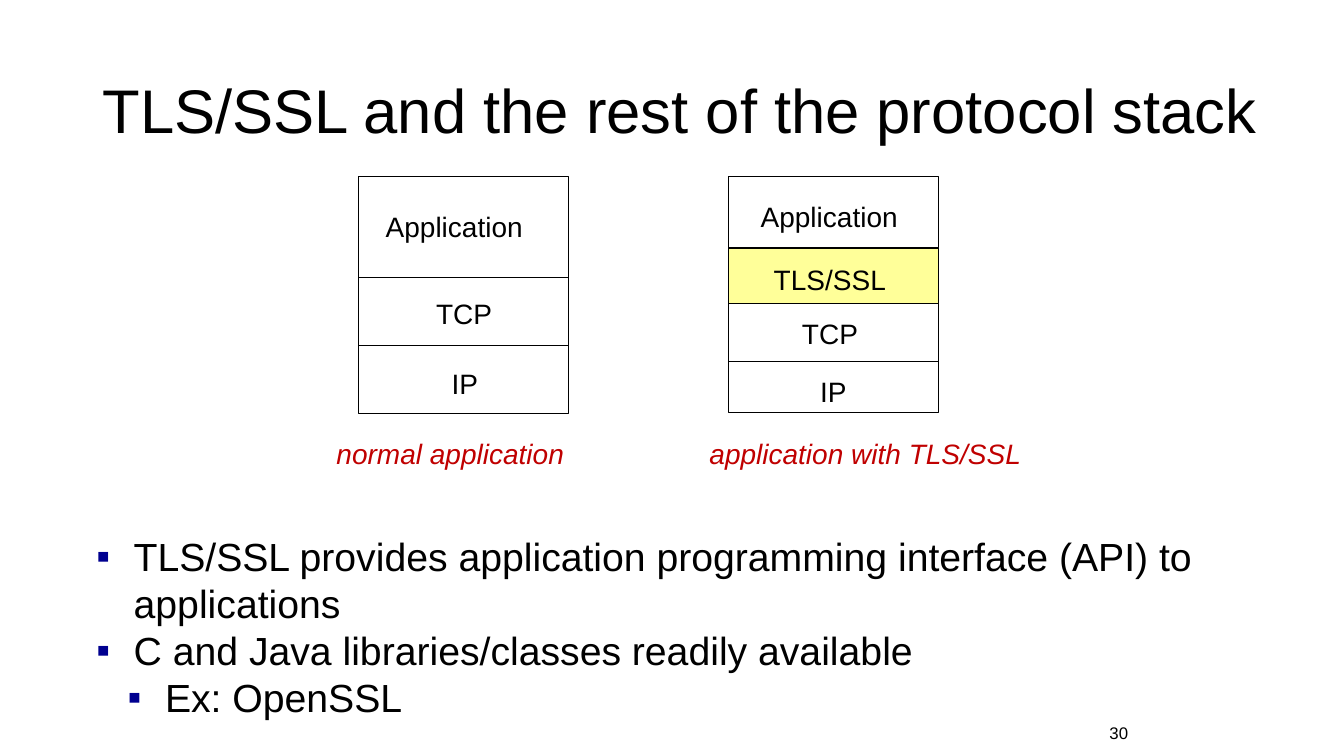
"""Build the slide on TLS/SSL and the protocol stack."""
from dataclasses import dataclass

from lxml.etree import SubElement as Sub
from pptx import Presentation
from pptx.dml.color import RGBColor as Rgb
from pptx.enum.shapes import MSO_SHAPE as Kind
from pptx.enum.text import MSO_ANCHOR as Anchor
from pptx.oxml.ns import qn
from pptx.util import Cm, Pt

BLACK, RED, NAVY, YELLOW = "000000", "C00000", "000090", "FFFF99"


@dataclass
class Text:
    words: str
    left: float
    top: float
    width: float
    height: float = 1.12
    size: int = 20
    color: str = BLACK
    slant: bool = False
    wrap: bool = False


@dataclass
class Layer:
    height: float
    label: Text
    fill: str = ""


@dataclass
class Stack:
    left: float
    width: float
    layers: list[Layer]
    title: Text


@dataclass
class Point:
    words: str
    level: int = 0


def tint(code: str) -> Rgb:
    return Rgb.from_string(code)


def add_run(para, words: str, size: int, color: str = BLACK, slant: bool = False) -> None:
    run = para.add_run()
    run.text = words
    font = run.font
    font.name, font.size, font.italic = "Arial", Pt(size), slant
    font.color.rgb = tint(color)


def add_box(slide, left: float, top: float, width: float, height: float, wrap: bool = True):
    box = slide.shapes.add_textbox(Cm(left), Cm(top), Cm(width), Cm(height))
    box.text_frame.word_wrap = wrap
    return box.text_frame


def add_text(slide, text: Text):
    frame = add_box(slide, text.left, text.top, text.width, text.height, text.wrap)
    add_run(frame.paragraphs[0], text.words, text.size, text.color, text.slant)
    return frame


def add_stack(slide, stack: Stack, top: float) -> None:
    for layer in stack.layers:
        rect = slide.shapes.add_shape(
            Kind.RECTANGLE, Cm(stack.left), Cm(top), Cm(stack.width), Cm(layer.height))
        rect.shadow.inherit = False
        rect.line.color.rgb = tint(BLACK)
        rect.line.width = Pt(0.75)
        if layer.fill:
            rect.fill.solid()
            rect.fill.fore_color.rgb = tint(layer.fill)
        else:
            rect.fill.background()
        add_text(slide, layer.label)
        top += layer.height
    add_text(slide, stack.title)


def add_points(slide, points: list[Point]) -> None:
    frame = add_box(slide, 2.18, 13.28, 29.49, 5.05)
    for spot, point in enumerate(points):
        para = frame.add_paragraph() if spot else frame.paragraphs[0]
        para.level = point.level
        props = para._p.get_or_add_pPr()
        props.set("marL", str(Cm(0.94 + 0.79 * point.level)))
        props.set("indent", str(Cm(-0.94)))
        Sub(Sub(props, qn("a:buClr")), qn("a:srgbClr"), val=NAVY)
        Sub(props, qn("a:buFont"), typeface="Arial")
        Sub(props, qn("a:buChar"), char="▪")
        add_run(para, point.words, 28)


STACKS = [
    Stack(9.04, 5.3, [
        Layer(2.54, Text("Application", 9.47, 5.16, 4.01)),
        Layer(1.71, Text("TCP", 10.74, 7.34, 1.94)),
        Layer(1.71, Text("IP", 11.13, 9.12, 1.19)),
    ], Text("normal application", 8.23, 10.87, 6.45, color=RED, slant=True)),
    Stack(18.36, 5.3, [
        Layer(1.8, Text("Application", 18.92, 4.9, 4.01)),
        Layer(1.4, Text("TLS/SSL", 19.25, 6.48, 3.38), YELLOW),
        Layer(1.47, Text("TCP", 19.96, 7.85, 1.94)),
        Layer(1.27, Text("IP", 20.42, 9.3, 1.19)),
    ], Text("application with TLS/SSL", 17.63, 10.87, 8.66, color=RED, slant=True, wrap=True)),
]

POINTS = [
    Point("TLS/SSL provides application programming interface (API) to applications"),
    Point("C and Java libraries/classes readily available"),
    Point("Ex: OpenSSL", 1),
]


def main() -> None:
    deck = Presentation()
    deck.slide_width, deck.slide_height = Cm(33.87), Cm(19.05)
    slide = deck.slides.add_slide(deck.slide_layouts[6])
    title = add_text(slide, Text("TLS/SSL and the rest of the protocol stack",
                                 2.34, 1.02, 30.86, 3.68, 44, wrap=True))
    title.vertical_anchor = Anchor.MIDDLE
    title.paragraphs[0].line_spacing = 0.9
    for stack in STACKS:
        add_stack(slide, stack, 4.45)
    add_points(slide, POINTS)
    add_text(slide, Text("30", 27.71, 18.08, 1.9, 0.76, 12, wrap=True))
    deck.save("out.pptx")


if __name__ == "__main__":
    main()
